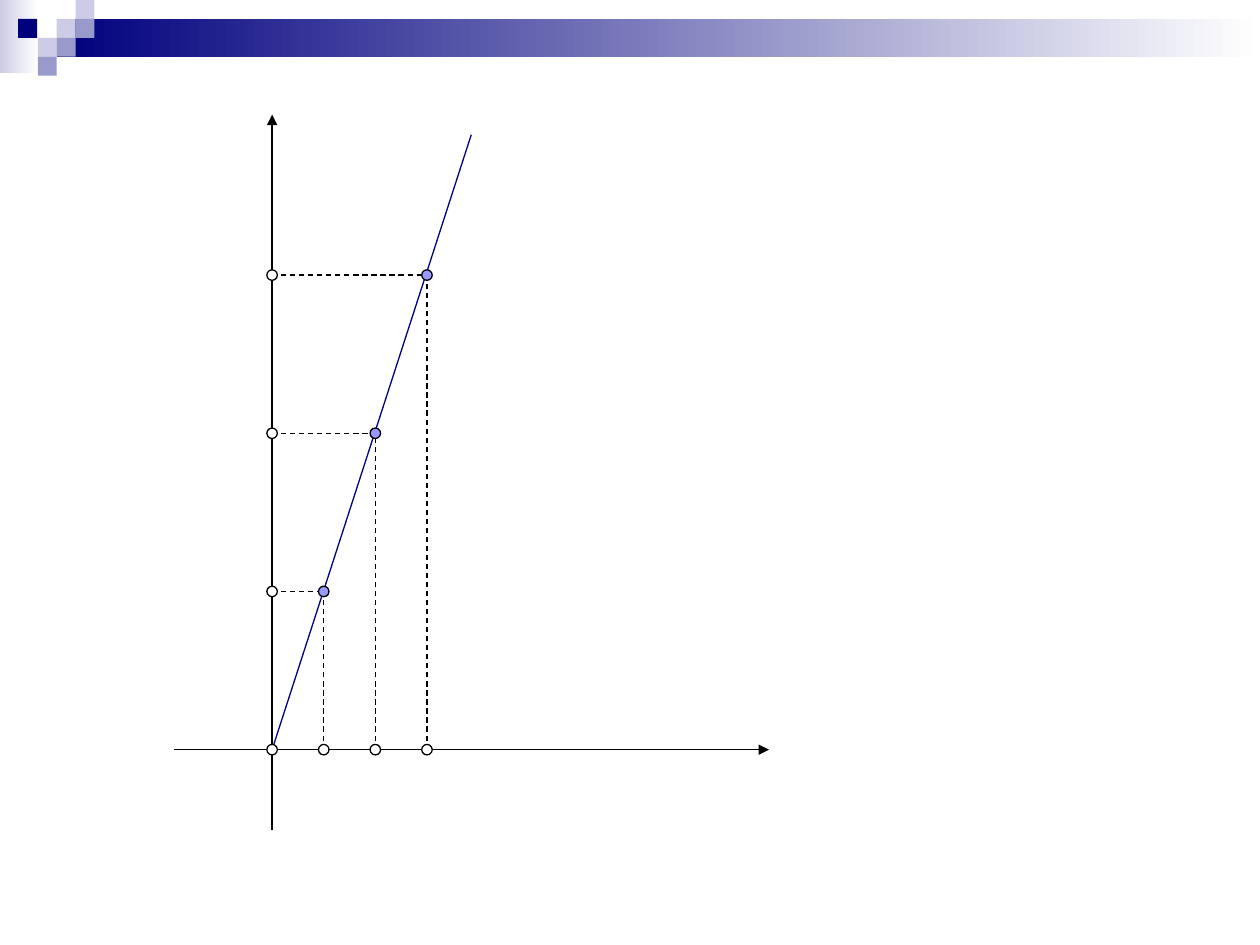
"""Build a slide with a straight line through the origin and three marked points."""
from typing import NamedTuple, Optional

from lxml.etree import SubElement
from pptx import Presentation
from pptx.dml.color import RGBColor
from pptx.enum.dml import MSO_LINE
from pptx.enum.shapes import MSO_CONNECTOR, MSO_SHAPE
from pptx.oxml.ns import qn
from pptx.shapes.autoshape import Shape
from pptx.shapes.shapetree import SlideShapes
from pptx.util import Pt

NAVY = RGBColor(0x00, 0x00, 0x7D)
LAVENDER = RGBColor(0xCC, 0xCC, 0xE6)
MID_BLUE = RGBColor(0x99, 0x99, 0xCC)
PERIWINKLE = RGBColor(0x99, 0x99, 0xFF)
BLACK = RGBColor(0x00, 0x00, 0x00)
WHITE = RGBColor(0xFF, 0xFF, 0xFF)

ORIGIN_X, ORIGIN_Y = 155.5, 428.4
STEP_X, STEP_Y = 29.5, 90.4
POINT_COUNT = 3
MARKER_SIZE = 6
TILE_SIZE = 10.8
LINE_WIDTH = 0.75


class Box(NamedTuple):
    left: float
    top: float
    width: float
    height: float


class Tile(NamedTuple):
    left: float
    row: int
    color: RGBColor


class Segment(NamedTuple):
    start: tuple[float, float]
    end: tuple[float, float]
    color: RGBColor = BLACK
    dashed: bool = False
    arrow: bool = False


class Marker(NamedTuple):
    x: float
    y: float
    color: RGBColor = WHITE


BANDS = [
    (Box(0, 0, 22, 42), LAVENDER),
    (Box(32.4, 10.8, 687.6, 21.6), NAVY),
]
TILES = [
    Tile(32.4, 1, LAVENDER),
    Tile(43.2, 0, LAVENDER),
    Tile(43.2, 1, MID_BLUE),
    Tile(21.6, 2, LAVENDER),
    Tile(10.4, 1, NAVY),
    Tile(32.4, 2, MID_BLUE),
    Tile(21.6, 3, MID_BLUE),
]
AXES = [
    Segment((99.5, ORIGIN_Y), (439.5, ORIGIN_Y), arrow=True),
    Segment((ORIGIN_X, 474.5), (ORIGIN_X, 65.5), arrow=True),
]
GRAPH = Segment((ORIGIN_X, ORIGIN_Y), (269.3, 77), color=NAVY)


def add_area(shapes: SlideShapes, kind: MSO_SHAPE, box: Box) -> Shape:
    area = shapes.add_shape(kind, *(Pt(length) for length in box))
    area.shadow.inherit = False
    area.line.fill.background()
    return area


def draw_band(shapes: SlideShapes, box: Box, color: RGBColor) -> None:
    band = add_area(shapes, MSO_SHAPE.RECTANGLE, box)
    band.fill.gradient()
    band.fill.gradient_angle = 180
    for stop, stop_color in zip(band.fill.gradient_stops, (WHITE, color)):
        stop.color.rgb = stop_color


def draw_tile(shapes: SlideShapes, tile: Tile) -> None:
    box = Box(tile.left, tile.row * TILE_SIZE, TILE_SIZE, TILE_SIZE)
    square = add_area(shapes, MSO_SHAPE.RECTANGLE, box)
    square.fill.solid()
    square.fill.fore_color.rgb = tile.color


def draw_segment(shapes: SlideShapes, segment: Segment) -> None:
    ends = (Pt(length) for length in segment.start + segment.end)
    connector = shapes.add_connector(MSO_CONNECTOR.STRAIGHT, *ends)
    connector.line.width = Pt(LINE_WIDTH)
    connector.line.color.rgb = segment.color
    if segment.dashed:
        connector.line.dash_style = MSO_LINE.DASH
    properties = connector.element.spPr
    if segment.arrow:
        outline = properties.find(qn("a:ln"))
        SubElement(outline, qn("a:tailEnd"), type="triangle")
    SubElement(properties, qn("a:effectLst"))


def draw_marker(shapes: SlideShapes, marker: Marker) -> None:
    half = MARKER_SIZE / 2
    box = Box(marker.x - half, marker.y - half, MARKER_SIZE, MARKER_SIZE)
    dot = add_area(shapes, MSO_SHAPE.FLOWCHART_CONNECTOR, box)
    dot.fill.solid()
    dot.fill.fore_color.rgb = marker.color
    dot.line.color.rgb = BLACK
    dot.line.width = Pt(LINE_WIDTH)


def main() -> None:
    deck = Presentation()
    deck.slide_width, deck.slide_height = Pt(720), Pt(540)
    shapes = deck.slides.add_slide(deck.slide_layouts[6]).shapes

    for box, color in BANDS:
        draw_band(shapes, box, color)
    for tile in TILES:
        draw_tile(shapes, tile)

    points = [
        (ORIGIN_X + step * STEP_X, ORIGIN_Y - step * STEP_Y)
        for step in range(1, POINT_COUNT + 1)
    ]
    guides: list[Segment] = []
    markers = [Marker(ORIGIN_X, ORIGIN_Y)]
    for x, y in points:
        guides.append(Segment((ORIGIN_X, y), (x, y), dashed=True))
        guides.append(Segment((x, ORIGIN_Y), (x, y), dashed=True))
        markers += [Marker(x, y, PERIWINKLE), Marker(ORIGIN_X, y), Marker(x, ORIGIN_Y)]

    for segment in [*AXES, *guides, GRAPH]:
        draw_segment(shapes, segment)
    for marker in markers:
        draw_marker(shapes, marker)

    deck.save("out.pptx")


if __name__ == "__main__":
    main()
